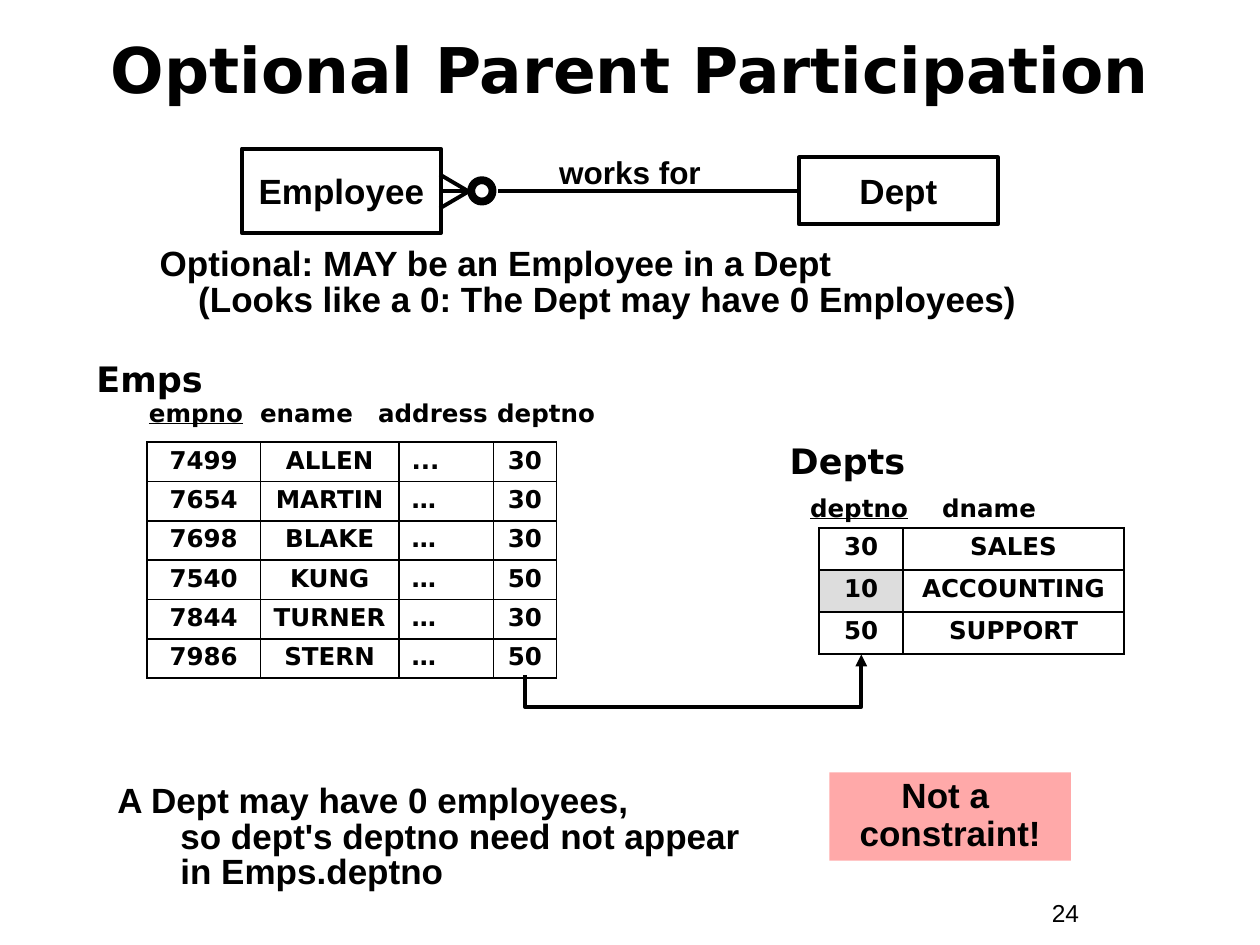
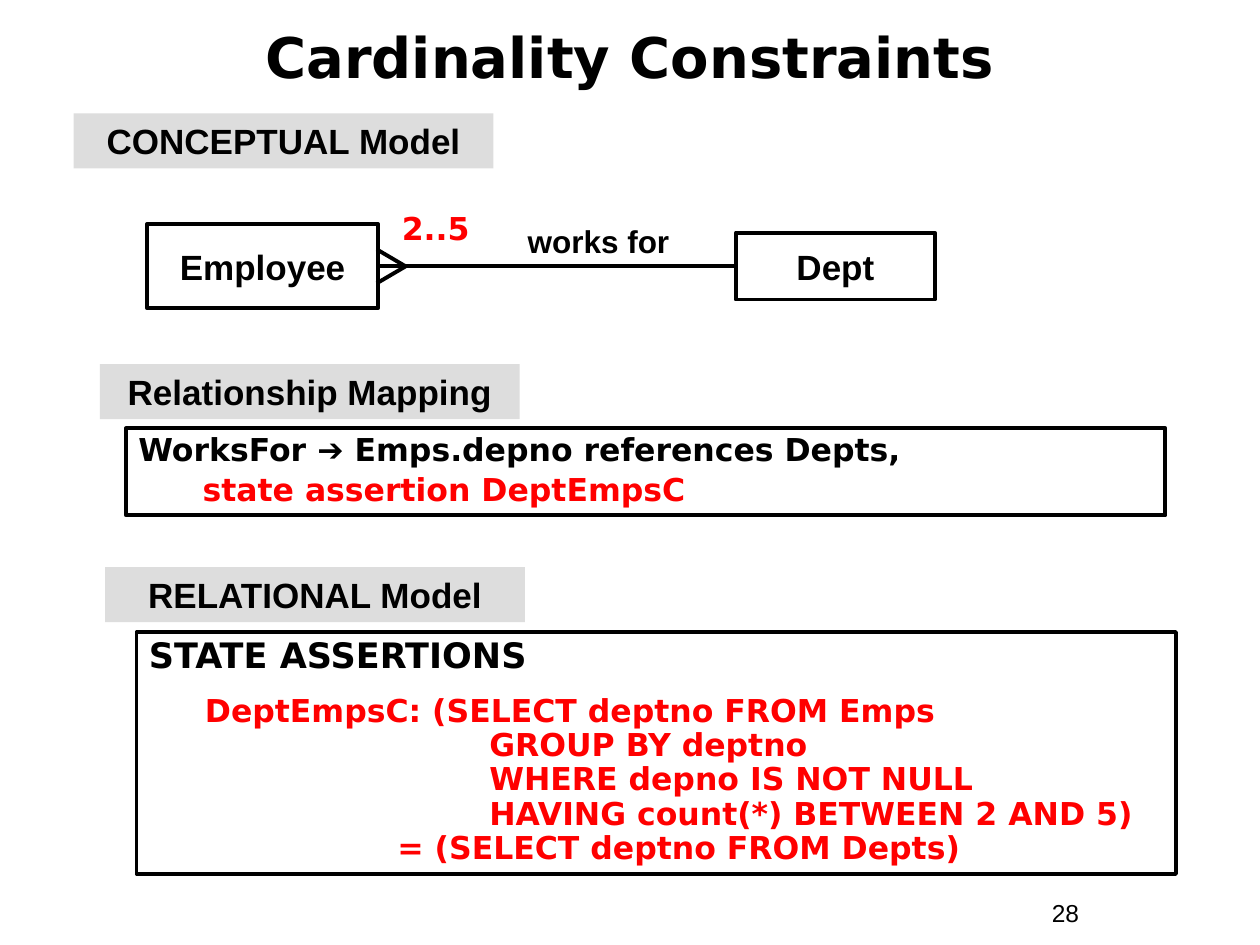
import pptx
import pptx.dml.color
import pptx.enum.shapes
import pptx.enum.text
import pptx.oxml
import pptx.oxml.ns
import pptx.util
from lxml import etree

Pt = pptx.util.Pt
qn = pptx.oxml.ns.qn
SHAPE = pptx.enum.shapes.MSO_SHAPE
CONNECTOR = pptx.enum.shapes.MSO_CONNECTOR
ALIGN = pptx.enum.text.PP_ALIGN
ANCHOR = pptx.enum.text.MSO_ANCHOR

COLORS = {"ink": "000000", "red": "FF0000", "band": "DDDDDD",
          "note": "FFA9A9", "paper": "FFFFFF"}
BODY, DISPLAY = "Arial", "DejaVu Sans"
RULE, GRID = 2.25, 1.08


def color(name):
    return pptx.dml.color.RGBColor.from_string(COLORS[name])


def para(*runs, indent=0, before=0, tabs=()):
    """A paragraph; each run is a string or (string, style overrides)."""
    return {"runs": runs, "indent": indent, "before": before, "tabs": tabs}


class Deck:
    def __init__(self):
        self.prs = pptx.Presentation()
        self.prs.slide_width, self.prs.slide_height = Pt(720), Pt(540)
        self.slide = None

    def new_slide(self, title, title_box, title_size, number):
        self.slide = self.prs.slides.add_slide(self.prs.slide_layouts[6])
        self.text(title_box, title, font=DISPLAY, size=title_size,
                  align=ALIGN.CENTER, anchor=ANCHOR.MIDDLE)
        self.text((594, 509.8, 66, 24.5), number, size=14, bold=False)

    # Text
    def add_paragraphs(self, frame, paragraphs, align=ALIGN.LEFT, spacing=None, **style):
        for i, item in enumerate(paragraphs):
            item = para(item) if isinstance(item, str) else item
            p = frame.paragraphs[0] if i == 0 else frame.add_paragraph()
            props = p._p.get_or_add_pPr()
            if item["indent"]:
                props.set("marL", str(Pt(item["indent"])))
            if item["tabs"]:
                stops = etree.SubElement(props, qn("a:tabLst"))
                for stop in item["tabs"]:
                    etree.SubElement(stops, qn("a:tab"), pos=str(Pt(stop)), algn="l")
            p.alignment = align
            if spacing:
                p.line_spacing = spacing
            if item["before"]:
                p.space_before = Pt(item["before"])
            for run in item["runs"]:
                words, extra = (run, {}) if isinstance(run, str) else run
                self.add_run(p, words, **{**style, **extra})

    def add_run(self, p, words, font=BODY, size=20, bold=True, ink="ink",
                underline=False):
        run = p.add_run()
        run.text = words
        run.font.name, run.font.size, run.font.bold = font, Pt(size), bold
        run.font.underline = underline
        run.font.color.rgb = color(ink)

    def text(self, box, *paragraphs, anchor=ANCHOR.TOP, **style):
        frame = self.slide.shapes.add_textbox(*map(Pt, box)).text_frame
        frame.word_wrap = True
        frame.vertical_anchor = anchor
        self.add_paragraphs(frame, paragraphs, **style)

    # Shapes
    def shape(self, box, *paragraphs, kind=SHAPE.RECTANGLE, fill=None, line=None,
              anchor=ANCHOR.TOP, wrap=True, **style):
        shape = self.slide.shapes.add_shape(kind, *map(Pt, box))
        shape.shadow.inherit = False
        if fill:
            shape.fill.solid()
            shape.fill.fore_color.rgb = color(fill)
        else:
            shape.fill.background()
        if line:
            shape.line.color.rgb = color("ink")
            shape.line.width = Pt(line)
        else:
            shape.line.fill.background()
        shape.text_frame.word_wrap = wrap
        shape.text_frame.vertical_anchor = anchor
        self.add_paragraphs(shape.text_frame, paragraphs, **style)

    def entity(self, box, name):
        self.shape(box, name, line=RULE, anchor=ANCHOR.MIDDLE, wrap=False,
                   align=ALIGN.CENTER)

    def section(self, left, top, name):
        self.shape((left, top, 240, 31.5), name, fill="band", align=ALIGN.CENTER)

    # Lines
    def line(self, start, end, kind=CONNECTOR.STRAIGHT):
        link = self.slide.shapes.add_connector(kind, *map(Pt, (*start, *end)))
        link.line.color.rgb = color("ink")
        link.line.width = Pt(RULE)
        etree.SubElement(link._element.spPr, qn("a:effectLst"))
        return link

    def crow_foot(self, tip_x, y):
        for spread in (-9.7, 9.7):
            self.line((tip_x, y), (tip_x - 16.5, y + spread))

    def reference_arrow(self, start, end, drop):
        """Run down from start by drop, across, and up to end."""
        mid_x, mid_y = (start[0] + end[0]) / 2, (start[1] + end[1]) / 2
        rise, run = start[1] - end[1], end[0] - start[0]
        # The elbow is laid out on its side, then turned by 90 degrees.
        link = self.line((mid_x + rise / 2, mid_y + run / 2),
                         (mid_x - rise / 2, mid_y - run / 2), CONNECTOR.ELBOW)
        props = link._element.spPr
        props.find(qn("a:xfrm")).set("rot", "5400000")
        guides = props.find(qn("a:prstGeom")).get_or_add_avLst()
        etree.SubElement(guides, qn("a:gd"), name="adj1",
                         fmla=f"val {round(-drop / rise * 100000)}")
        etree.SubElement(props.find(qn("a:ln")), qn("a:tailEnd"), type="triangle")

    # Tables
    def table(self, left, top, widths, row_height, rows, left_cols=(), shaded=()):
        frame = self.slide.shapes.add_table(
            len(rows), len(widths), Pt(left), Pt(top), Pt(sum(widths)),
            Pt(row_height * len(rows)))
        table = frame.table
        table.first_row = table.horz_banding = False
        for column, width in zip(table.columns, widths):
            column.width = Pt(width)
        for r, row in enumerate(rows):
            table.rows[r].height = Pt(row_height)
            for c, value in enumerate(row):
                cell = table.cell(r, c)
                self.borders(cell)
                cell.fill.solid()
                cell.fill.fore_color.rgb = color("band" if (r, c) in shaded else "paper")
                self.add_paragraphs(
                    cell.text_frame, [value], font=DISPLAY, size=14, spacing=0.9,
                    align=ALIGN.LEFT if c in left_cols else ALIGN.CENTER)

    def borders(self, cell):
        props = cell._tc.get_or_add_tcPr()
        for side in ("lnL", "lnR", "lnT", "lnB"):
            edge = etree.SubElement(props, qn(f"a:{side}"), w=str(Pt(GRID)))
            fill = etree.SubElement(edge, qn("a:solidFill"))
            etree.SubElement(fill, qn("a:srgbClr"), val=COLORS["ink"])


def optional_participation(deck):
    deck.new_slide("Optional Parent Participation", (24, 12.2, 672, 54), 36, "24")

    # Entity diagram
    axis = 109.4
    deck.entity((138.2, 85, 113.8, 48.2), "Employee")
    deck.entity((456.5, 90, 113.8, 38.2), "Dept")
    deck.crow_foot(267.8, axis)
    deck.line((252.7, axis), (267.1, axis))
    deck.shape((269.3, 103, 12.2, 12.2), kind=SHAPE.OVAL, line=4.5)
    deck.line((455.8, axis), (284.4, axis))
    deck.text((300, 84.2, 120, 28.8), "works for", size=18, align=ALIGN.CENTER)
    deck.text((84.2, 138.2, 528, 48.2),
              "Optional: MAY be an Employee in a Dept",
              para("(Looks like a 0: The Dept may have 0 Employees)", indent=22),
              spacing=0.85)

    # Emps relation
    key = {"underline": True}
    deck.text((48, 201, 155, 31.7), "Emps", font=DISPLAY)
    deck.text((78, 224, 270, 24.5),
              para(("empno", key), "\tename\taddress\tdeptno", tabs=(63.5, 131, 199)),
              font=DISPLAY, size=14)
    emps = [("7499", "ALLEN", "...", "30"), ("7654", "MARTIN", "…", "30"),
            ("7698", "BLAKE", "…", "30"), ("7540", "KUNG", "…", "50"),
            ("7844", "TURNER", "…", "30"), ("7986", "STERN", "…", "50")]
    deck.table(84, 252.6, (64.8, 79.2, 54, 36), 22.5, emps, left_cols=(2,))

    # Depts relation
    deck.text((444.2, 247.7, 155, 31.7), "Depts", font=DISPLAY)
    deck.text((455.8, 278, 180, 24.5),
              para(("deptno", key), "\tdname", ("\t", key), tabs=(75.5, 139)),
              font=DISPLAY, size=14)
    depts = [("30", "SALES"), ("10", "ACCOUNTING"), ("50", "SUPPORT")]
    deck.table(468, 301.9, (48.2, 126), 24, depts, shaded={(1, 0)})
    deck.reference_arrow((300, 386), (492.2, 374), drop=18)

    # Conclusion
    deck.text((60, 445, 384, 68.4), "A Dept may have 0 employees,",
              para("so dept's deptno need not appear", indent=36),
              para("in Emps.deptno", indent=36), spacing=0.85)
    deck.shape((474, 441.4, 138, 50.4), "Not a ", "constraint!", fill="note",
               align=ALIGN.CENTER, spacing=0.9)


def cardinality_constraints(deck):
    deck.new_slide("Cardinality Constraints", (24, 11, 672, 42), 32, "28")
    red = {"ink": "red"}

    # Conceptual model
    axis = 152.2
    deck.section(42, 64.8, "CONCEPTUAL Model")
    deck.entity((84.2, 128, 131.8, 48.2), "Employee")
    deck.entity((420.5, 133, 113.8, 38.2), "Dept")
    deck.crow_foot(231.8, axis)
    deck.line((420, axis), (216, axis))
    deck.text((282, 123.5, 120, 28.8), "works for", size=18, align=ALIGN.CENTER)
    deck.text((210, 116, 78, 28.8), "2..5", font=DISPLAY, size=18, ink="red",
              align=ALIGN.CENTER)

    # Relationship mapping
    deck.section(57, 208, "Relationship Mapping")
    deck.shape((72, 244.8, 594, 49.7),
               para("WorksFor ", ("➔", {"font": BODY}), " Emps.depno references Depts,"),
               para(("state assertion DeptEmpsC", red), indent=36.7, before=3.4),
               line=RULE, font=DISPLAY, size=18, spacing=0.9)

    # Relational model
    deck.section(60, 324, "RELATIONAL Model")
    code = [("DeptEmpsC: (SELECT deptno FROM Emps", 32, 11.2),
            ("GROUP BY deptno", 194.5, 0),
            ("WHERE depno IS NOT NULL", 194.5, 0),
            ("HAVING count(*) BETWEEN 2 AND 5)", 194.5, 0),
            ("= (SELECT deptno FROM Depts)", 142, 0)]
    deck.shape((78, 361.2, 594, 138.2),
               para(("STATE ASSERTIONS", {"size": 20})),
               *(para((words, red), indent=indent, before=before)
                 for words, indent, before in code),
               line=RULE, font=DISPLAY, size=18, spacing=0.9)


def main():
    deck = Deck()
    optional_participation(deck)
    cardinality_constraints(deck)
    deck.prs.save("out.pptx")


if __name__ == "__main__":
    main()
